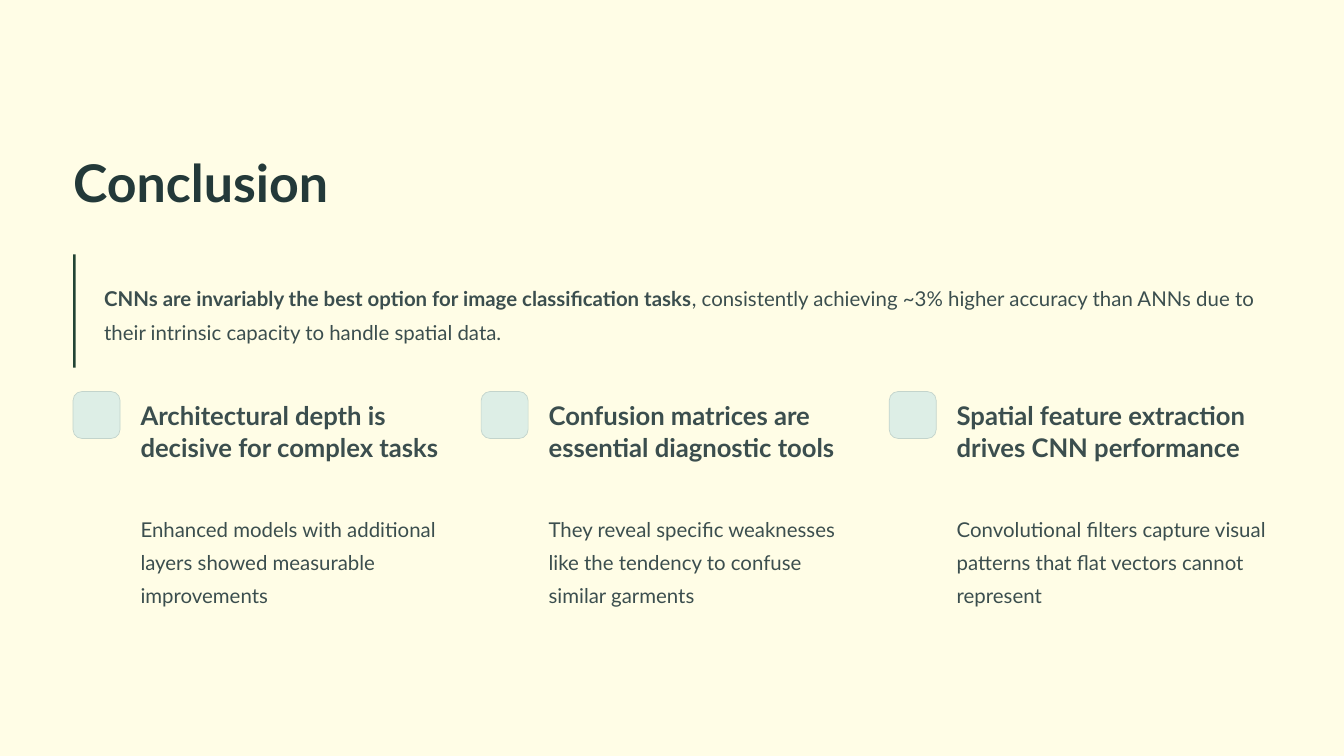
"""Build the Conclusion slide: a key statement above three takeaways."""
from pptx import Presentation
from pptx import util as u
from pptx.dml.color import RGBColor
from pptx.enum import shapes, text

TITLE = "Conclusion"
STATEMENT = [
    ("CNNs are invariably the best option for image classification tasks", True),
    (", consistently achieving ~3% higher accuracy than ANNs due to "
     "their intrinsic capacity to handle spatial data.", False),
]
TAKEAWAYS = [
    ("Architectural depth is decisive for complex tasks",
     "Enhanced models with additional layers showed measurable improvements"),
    ("Confusion matrices are essential diagnostic tools",
     "They reveal specific weaknesses like the tendency to confuse similar garments"),
    ("Spatial feature extraction drives CNN performance",
     "Convolutional filters capture visual patterns that flat vectors cannot represent"),
]

FONT = "Lato"
CREAM = RGBColor(0xFF, 0xFD, 0xE6)
DARK = RGBColor(0x23, 0x39, 0x39)
BODY = RGBColor(0x3B, 0x4E, 0x4E)
BAR = RGBColor(0x22, 0x44, 0x35)
MINT = RGBColor(0xDD, 0xEE, 0xE6)
MINT_EDGE = RGBColor(0xC3, 0xD4, 0xCC)

LEFT = 2.21
PITCH = 12.34
BADGE = 1.42
TEXT_INDENT = 2.04
TEXT_WIDTH = 9.5


def add_text(s, runs, box, size=17.5, leading=28.5, color=BODY, wrap=True):
    """Add a text box at box (cm) from a list of (text, bold) runs."""
    tf = s.shapes.add_textbox(*map(u.Cm, box)).text_frame
    tf.word_wrap = wrap
    tf.auto_size = text.MSO_AUTO_SIZE.NONE
    tf.vertical_anchor = text.MSO_ANCHOR.TOP
    tf.margin_left = tf.margin_right = tf.margin_top = tf.margin_bottom = 0
    p = tf.paragraphs[0]
    p.alignment = text.PP_ALIGN.LEFT
    p.line_spacing = u.Pt(leading)
    for words, bold in runs:
        r = p.add_run()
        r.text = words
        r.font.name = FONT
        r.font.size = u.Pt(size)
        r.font.bold = bold
        r.font.color.rgb = color


def add_block(s, kind, box, fill, edge=None):
    """Add a filled shape at box (cm), outlined when edge is given."""
    sp = s.shapes.add_shape(kind, *map(u.Cm, box))
    sp.shadow.inherit = False
    sp.fill.solid()
    sp.fill.fore_color.rgb = fill
    if edge is None:
        sp.line.fill.background()
    else:
        sp.line.color.rgb = edge
        sp.line.width = u.Pt(0.6)
    return sp


def main():
    """Lay out the slide and save it."""
    prs = Presentation()
    prs.slide_width, prs.slide_height = u.Cm(40.64), u.Cm(22.86)
    s = prs.slides.add_slide(prs.slide_layouts[6])
    s.background.fill.solid()
    s.background.fill.fore_color.rgb = CREAM

    add_text(s, [(TITLE, True)], (LEFT, 4.47, 15.75, 1.98),
             size=44.5, leading=55.5, color=DARK, wrap=False)
    add_text(s, STATEMENT, (3.15, 8.4, 35.28, 2))
    add_block(s, shapes.MSO_SHAPE.RECTANGLE, (LEFT, 7.69, 0.08, 3.43), BAR)

    for i, (heading, detail) in enumerate(TAKEAWAYS):
        x = LEFT + i * PITCH
        badge = add_block(s, shapes.MSO_SHAPE.ROUNDED_RECTANGLE,
                          (x, 11.84, BADGE, BADGE), MINT, MINT_EDGE)
        badge.adjustments[0] = 0.19
        x += TEXT_INDENT
        add_text(s, [(heading, True)], (x, 12.04, TEXT_WIDTH, 2.95),
                 size=22, leading=27.5)
        add_text(s, [(detail, False)], (x, 15.37, TEXT_WIDTH, 3.02))

    prs.save("out.pptx")


if __name__ == "__main__":
    main()
